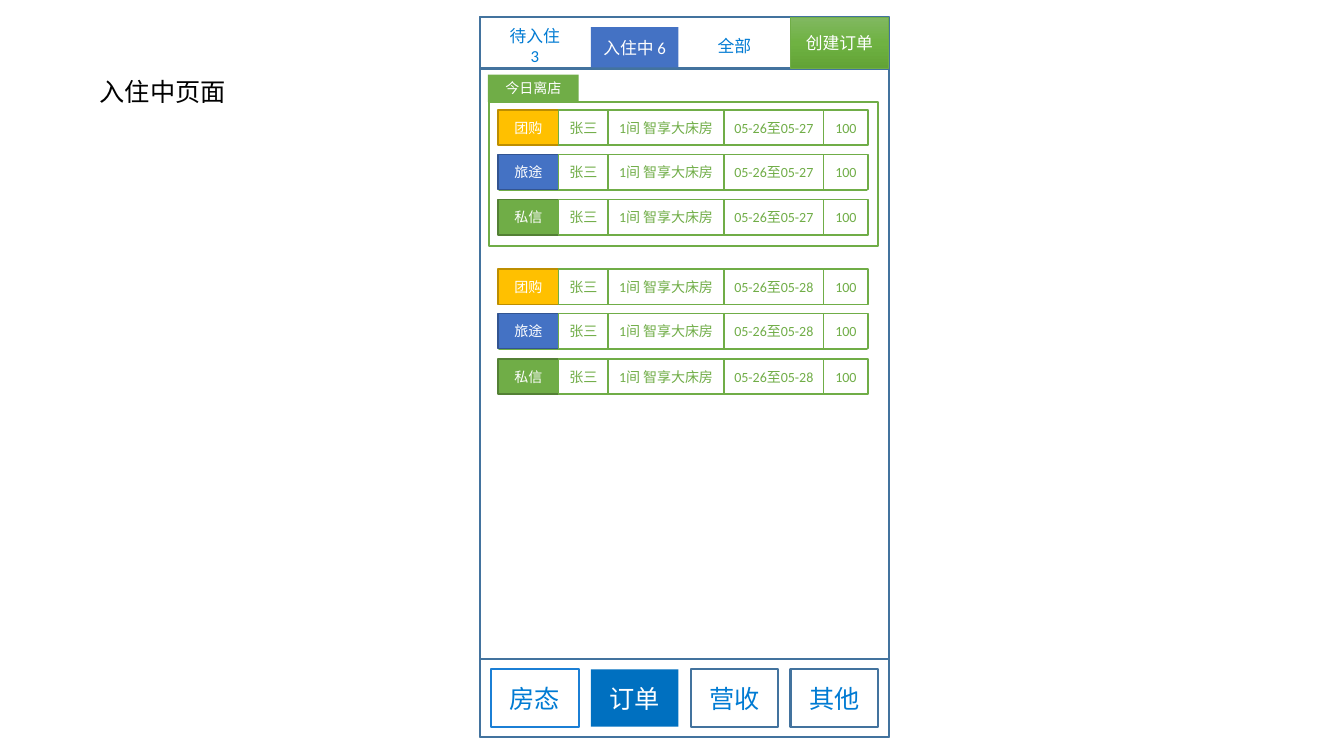
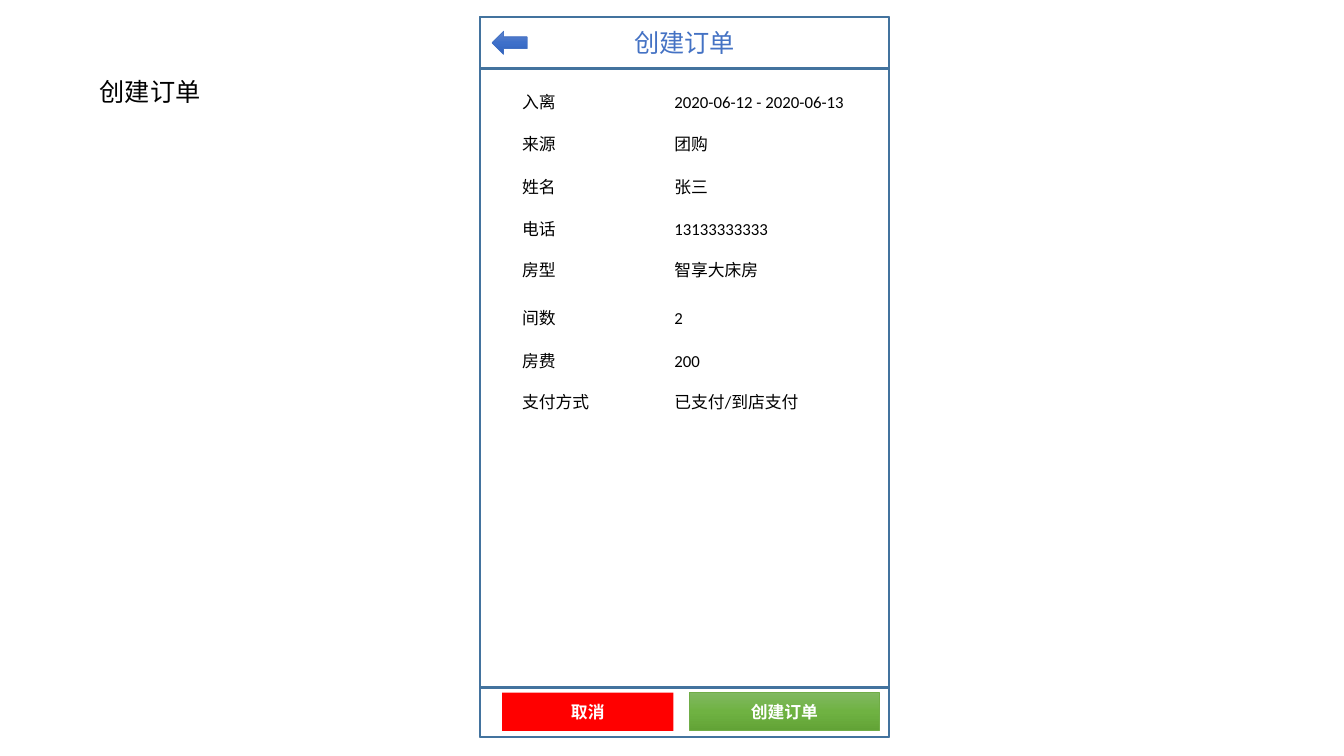
from copy import deepcopy
from dataclasses import dataclass
from typing import NamedTuple

from pptx import Presentation
from pptx.dml.color import RGBColor
from pptx.enum.shapes import MSO_SHAPE
from pptx.enum.text import MSO_ANCHOR, MSO_AUTO_SIZE, PP_ALIGN
from pptx.oxml.ns import qn
from pptx.slide import Slide
from pptx.text.text import TextFrame
from pptx.util import Inches, Pt


class Box(NamedTuple):
    left: float
    top: float
    width: float
    height: float

    def lengths(self) -> list[Inches]:
        return [Inches(value) for value in self]


class Gradient(NamedTuple):
    top: str
    middle: str
    bottom: str


@dataclass(frozen=True)
class Theme:
    font: str = "Calibri"
    title_size: int = 18
    body_size: int = 12
    small_size: int = 10
    frame_width: float = 1.5
    cell_width: float = 1
    button_width: float = 0.5
    black: str = "000000"
    white: str = "FFFFFF"
    frame: str = "43739E"
    link: str = "007BD3"
    link_border: str = "1B7FD5"
    selected: str = "0070C0"
    blue: str = "4472C4"
    blue_border: str = "325491"
    green: str = "70AD47"
    green_border: str = "538035"
    yellow: str = "FFC000"
    yellow_border: str = "BD8E00"
    red: str = "FF0000"
    green_gradient: Gradient = Gradient("81B861", "6FB242", "62A336")
    blue_gradient: Gradient = Gradient("6183CB", "3E70CA", "3062BB")


THEME = Theme()


@dataclass(frozen=True)
class Style:
    fill: str | Gradient | None = None
    border: str | None = None
    border_width: float = THEME.frame_width
    color: str = THEME.white
    size: int = THEME.body_size
    bold: bool = False


@dataclass(frozen=True)
class Channel:
    name: str
    fill: str
    border: str
    offset: float


@dataclass(frozen=True)
class Column:
    left: float
    width: float


@dataclass(frozen=True)
class Field:
    label: str
    value: str
    top: float
    value_width: float
    wrap: bool = False


FRAME = Style(border=THEME.frame)
GREEN_FRAME = Style(border=THEME.green)
ORDER_CELL = Style(THEME.white, THEME.green, THEME.cell_width, THEME.green, THEME.small_size)
CREATE_BUTTON = Style(THEME.green_gradient, THEME.green, THEME.button_width)

PHONE = Box(4.76, 0.17, 4.06, 7.14)
HEADER = Box(4.76, 0.17, 4.06, 0.51)
MENU_LEFT, MENU_PITCH, MENU_WIDTH = 4.87, 0.99, 0.87

MENU = [
    ("房态", Style(THEME.white, THEME.link_border, color=THEME.link, size=THEME.title_size)),
    ("订单", Style(THEME.selected, size=THEME.title_size)),
    ("营收", Style(border=THEME.frame, color=THEME.link, size=THEME.title_size)),
    ("其他", Style(border=THEME.frame, color=THEME.link, size=THEME.title_size)),
]
TABS = [
    ("待入住\v3", 0.37, Style(THEME.white, color=THEME.link)),
    ("入住中 6", 0.4, Style(THEME.blue)),
    ("全部", 0.37, Style(color=THEME.link)),
]
CHANNELS = [
    Channel("团购", THEME.yellow, THEME.yellow_border, 0),
    Channel("旅途", THEME.blue, THEME.blue_border, 0.44),
    Channel("私信", THEME.green, THEME.green_border, 0.89),
]
ORDER_GROUPS = [(1.09, "05-26至05-27"), (2.67, "05-26至05-28")]
ORDER_COLUMNS = [
    Column(4.94, 0.6),
    Column(5.54, 0.49),
    Column(6.03, 1.15),
    Column(7.18, 0.99),
    Column(8.17, 0.44),
]
FIELDS = [
    Field("入离", "2020-06-12 - 2020-06-13", 0.86, 1.88),
    Field("来源", "团购", 1.28, 0.53),
    Field("姓名", "张三", 1.7, 0.53),
    Field("电话", "13133333333", 2.12, 1.13),
    Field("房型", "智享大床房", 2.53, 1.03),
    Field("间数", "2", 3, 0.28),
    Field("房费", "200", 3.43, 0.45),
    Field("支付方式", "已支付/到店支付", 3.84, 1.48, True),
]


def write_text(frame: TextFrame, text: str, style: Style, alignment: PP_ALIGN) -> None:
    paragraph = frame.paragraphs[0]
    paragraph.text = text
    paragraph.alignment = alignment
    paragraph.font.name = THEME.font
    paragraph.font.size = Pt(style.size)
    paragraph.font.bold = style.bold
    paragraph.font.color.rgb = RGBColor.from_string(style.color)


def add_panel(
    slide: Slide,
    box: Box,
    style: Style,
    text: str = "",
    preset: MSO_SHAPE = MSO_SHAPE.RECTANGLE,
) -> None:
    shape = slide.shapes.add_shape(preset, *box.lengths())
    shape.shadow.inherit = False
    if isinstance(style.fill, Gradient):
        shape.fill.gradient()
        shape.fill.gradient_angle = 270
        stop_list = shape.element.spPr.find(".//" + qn("a:gsLst"))
        stop_list.insert(1, deepcopy(stop_list[0]))
        for index, stop in enumerate(shape.fill.gradient_stops):
            stop.position = index / 2
            stop.color.rgb = RGBColor.from_string(style.fill[index])
    elif style.fill:
        shape.fill.solid()
        shape.fill.fore_color.rgb = RGBColor.from_string(style.fill)
    else:
        shape.fill.background()
    if style.border:
        shape.line.color.rgb = RGBColor.from_string(style.border)
        shape.line.width = Pt(style.border_width)
    else:
        shape.line.fill.background()
    if text:
        shape.text_frame.vertical_anchor = MSO_ANCHOR.MIDDLE
        write_text(shape.text_frame, text, style, PP_ALIGN.CENTER)


def add_label(slide: Slide, box: Box, text: str, size: int, wrap: bool = False) -> None:
    frame = slide.shapes.add_textbox(*box.lengths()).text_frame
    frame.word_wrap = wrap
    frame.auto_size = MSO_AUTO_SIZE.SHAPE_TO_FIT_TEXT
    write_text(frame, text, Style(color=THEME.black, size=size), PP_ALIGN.LEFT)


def text_width(text: str, size: int) -> float:
    return round(0.2 + len(text) * size / 72, 2)


def add_screen(presentation: Presentation, caption: str, footer: Box) -> Slide:
    slide = presentation.slides.add_slide(presentation.slide_layouts[6])
    add_panel(slide, PHONE, FRAME)
    add_panel(slide, footer, FRAME)
    caption_width = text_width(caption, THEME.title_size)
    add_label(slide, Box(0.89, 0.71, caption_width, 0.4), caption, THEME.title_size)
    return slide


def add_order(slide: Slide, channel: Channel, top: float, dates: str) -> None:
    add_panel(slide, Box(4.95, top + 0.01, 3.65, 0.34), Style(THEME.white, THEME.green))
    channel_style = Style(
        channel.fill, channel.border, THEME.cell_width, size=THEME.small_size
    )
    texts = [channel.name, "张三", "1间 智享大床房", dates, "100"]
    styles = [channel_style] + [ORDER_CELL] * 4
    for column, text, style in zip(ORDER_COLUMNS, texts, styles):
        add_panel(slide, Box(column.left, top, column.width, 0.35), style, text)


def build_order_list(presentation: Presentation) -> None:
    slide = add_screen(presentation, "入住中页面", Box(4.76, 6.54, 4.06, 0.77))
    for index, (text, style) in enumerate(MENU):
        left = MENU_LEFT + index * MENU_PITCH
        add_panel(slide, Box(left, 6.64, MENU_WIDTH, 0.57), style, text)
    add_panel(slide, HEADER, FRAME)
    add_panel(slide, Box(7.84, 0.17, 0.97, 0.51), CREATE_BUTTON, "创建订单")
    for index, (text, height, style) in enumerate(TABS):
        left = MENU_LEFT + index * MENU_PITCH
        add_panel(slide, Box(left, 0.27, MENU_WIDTH, height), style, text)
    for top, dates in ORDER_GROUPS:
        for channel in CHANNELS:
            add_order(slide, channel, top + channel.offset, dates)
    add_panel(slide, Box(4.85, 1.01, 3.86, 1.43), GREEN_FRAME)
    heading = Style(THEME.green, size=THEME.small_size)
    add_panel(slide, Box(4.84, 0.74, 0.9, 0.27), heading, "今日离店")


def build_order_form(presentation: Presentation) -> None:
    slide = add_screen(presentation, "创建订单", Box(4.76, 6.82, 4.06, 0.49))
    create = Style(THEME.green_gradient, THEME.green, THEME.button_width, bold=True)
    add_panel(slide, Box(6.84, 6.87, 1.88, 0.38), create, "创建订单")
    add_panel(slide, Box(4.98, 6.87, 1.7, 0.38), Style(THEME.red, bold=True), "取消")
    title = Style(border=THEME.frame, color=THEME.blue, size=THEME.title_size)
    add_panel(slide, HEADER, title, "创建订单")
    arrow = Style(THEME.blue_gradient, THEME.blue, THEME.button_width)
    add_panel(slide, Box(4.88, 0.31, 0.35, 0.23), arrow, preset=MSO_SHAPE.LEFT_ARROW)
    for field in FIELDS:
        label_width = text_width(field.label, THEME.body_size)
        label_box = Box(5.08, field.top, label_width, 0.3)
        value_box = Box(6.59, field.top, field.value_width, 0.3)
        add_label(slide, label_box, field.label, THEME.body_size)
        add_label(slide, value_box, field.value, THEME.body_size, field.wrap)


def main() -> None:
    presentation = Presentation()
    presentation.slide_width = Inches(13.33)
    presentation.slide_height = Inches(7.5)
    build_order_list(presentation)
    build_order_form(presentation)
    presentation.save("out.pptx")


if __name__ == "__main__":
    main()
